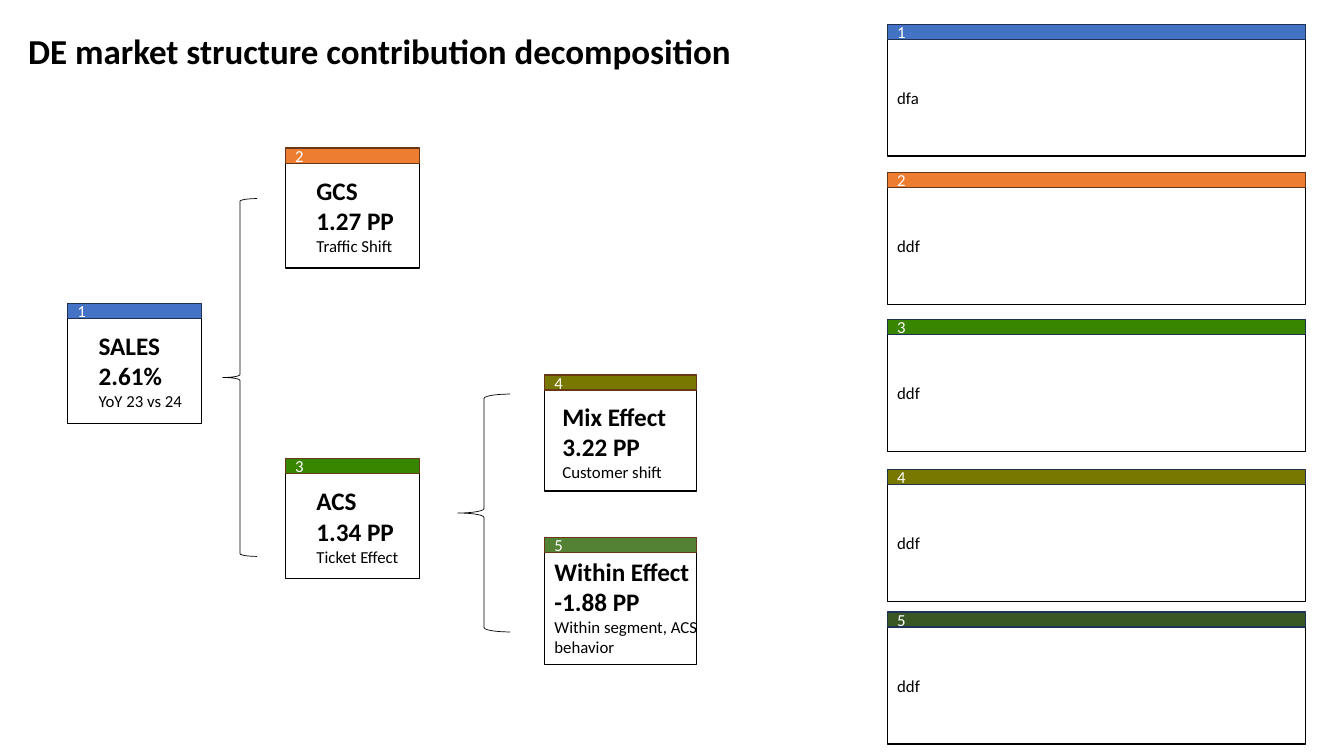
from pptx import Presentation
from pptx.dml.color import RGBColor
from pptx.enum.shapes import MSO_SHAPE
from pptx.enum.text import MSO_ANCHOR, MSO_AUTO_SIZE, PP_ALIGN
from pptx.util import Inches, Pt

RECTANGLE, LEFT_BRACE = MSO_SHAPE.RECTANGLE, MSO_SHAPE.LEFT_BRACE
TOP, MIDDLE = MSO_ANCHOR.TOP, MSO_ANCHOR.MIDDLE
LEFT = PP_ALIGN.LEFT
NO_AUTOFIT = MSO_AUTO_SIZE.NONE

FONT = "Calibri"
COLORS = {
    "black": "000000", "white": "FFFFFF",
    "blue": "4472C4", "orange": "ED7D31", "green": "388600",
    "olive": "787800", "leaf": "548235", "forest": "385723",
    "navy_edge": "1E3256", "brown_edge": "683715",
}
BAR_HEIGHT = 0.15

# Number, bar color, bar edge, box (left, top, width, height), text offset, text width, lines
NODES = [
    ("1", "blue", "navy_edge", (0.67, 3.01, 1.33, 1.19), (0.21, 0.22), 1.34,
     ("SALES", "2.61%", "YoY 23 vs 24")),
    ("2", "orange", "brown_edge", (2.83, 1.47, 1.33, 1.19), (0.21, 0.22), 1.34,
     ("GCS", "1.27 PP", "Traffic Shift")),
    ("3", "green", "brown_edge", (2.83, 4.55, 1.33, 1.19), (0.21, 0.22), 1.34,
     ("ACS", "1.34 PP", "Ticket Effect")),
    ("4", "olive", "brown_edge", (5.4, 3.72, 1.51, 1.15), (0.08, 0.21), 1.44,
     ("Mix Effect", "3.22 PP", "Customer shift")),
    ("5", "leaf", "brown_edge", (5.4, 5.33, 1.51, 1.26), (0, 0.14), 1.65,
     ("Within Effect", "-1.88 PP", "Within segment, ACS behavior")),
]
BRACES = [(2.21, 1.97, 0.34, 3.55), (4.54, 3.91, 0.52, 2.36)]

# Number, bar color, bar edge, top, note
NOTES = [
    ("1", "blue", "navy_edge", 0.24, "dfa"),
    ("2", "orange", "brown_edge", 1.71, "ddf"),
    ("3", "green", "navy_edge", 3.17, "ddf"),
    ("4", "olive", "navy_edge", 4.66, "ddf"),
    ("5", "forest", "navy_edge", 6.07, "ddf"),
]
NOTE_LEFT, NOTE_WIDTH, NOTE_HEIGHT = 8.8, 4.15, 1.31


def rgb(name):
    return RGBColor.from_string(COLORS[name])


def write(shape, lines, sizes=(12,), bold=(False,), color="black", anchor=MIDDLE, wrap=True):
    """Write one paragraph per line, each with its own size and weight."""
    frame = shape.text_frame
    frame.word_wrap = wrap
    frame.auto_size = NO_AUTOFIT
    frame.vertical_anchor = anchor
    frame.margin_left = frame.margin_right = Inches(0.1)
    frame.margin_top = frame.margin_bottom = Inches(0.05 if anchor == TOP else 0)
    frame.text = "\n".join(lines)
    for paragraph, size, weight in zip(frame.paragraphs, sizes, bold):
        paragraph.alignment = LEFT
        font = paragraph.runs[0].font
        font.name, font.size, font.bold = FONT, Pt(size), weight
        font.color.rgb = rgb(color)


def add_outlined(slide, kind, box, fill=None, edge="black", weight=1):
    shape = slide.shapes.add_shape(kind, *map(Inches, box))
    shape.shadow.inherit = False
    if fill:
        shape.fill.solid()
        shape.fill.fore_color.rgb = rgb(fill)
    else:
        shape.fill.background()
    shape.line.color.rgb = rgb(edge)
    shape.line.width = Pt(weight)
    return shape


def add_card(slide, box, number, color, edge):
    """Numbered bar above a white body; returns the body."""
    left, top, width, height = box
    body = add_outlined(
        slide, RECTANGLE, (left, top + BAR_HEIGHT, width, height - BAR_HEIGHT), "white")
    bar = add_outlined(slide, RECTANGLE, (left, top, width, BAR_HEIGHT), color, edge)
    write(bar, [number], color="white")
    return body


def add_title(slide, box):
    title = slide.shapes.title
    title.left, title.top, title.width, title.height = map(Inches, box)
    write(title, ["DE market structure contribution decomposition"],
          sizes=(25,), bold=(True,), anchor=TOP, wrap=False)


def add_node(slide, box, number, color, edge, offset, text_width, lines):
    add_card(slide, box, number, color, edge)
    left, top, _, height = box
    label = slide.shapes.add_textbox(
        Inches(left + offset[0]), Inches(top + offset[1]),
        Inches(text_width), Inches(height - offset[1]))
    write(label, lines, sizes=(18, 18, 12), bold=(True, True, False), anchor=TOP)


def add_tree(slide):
    for number, color, edge, box, offset, text_width, lines in NODES:
        add_node(slide, box, number, color, edge, offset, text_width, lines)
    for box in BRACES:
        add_outlined(slide, LEFT_BRACE, box, weight=0.5)


def add_notes_column(slide, left, width, height):
    for number, color, edge, top, note in NOTES:
        body = add_card(slide, (left, top, width, height), number, color, edge)
        write(body, [note])


def main():
    deck = Presentation()
    deck.slide_width, deck.slide_height = Inches(13.33), Inches(7.5)
    slide = deck.slides.add_slide(deck.slide_layouts[5])
    add_title(slide, (0.18, 0.24, 7.25, 0.52))
    add_tree(slide)
    add_notes_column(slide, NOTE_LEFT, NOTE_WIDTH, NOTE_HEIGHT)
    deck.save("out.pptx")


if __name__ == "__main__":
    main()
